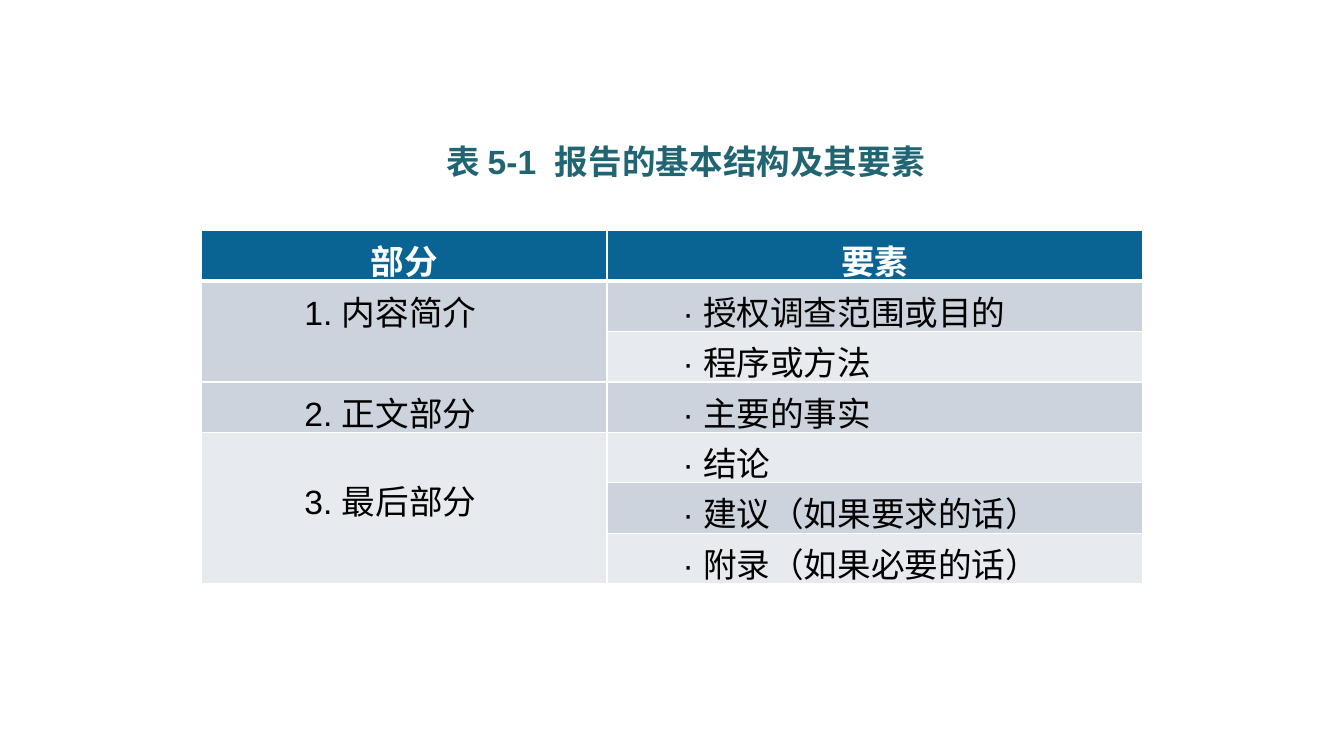
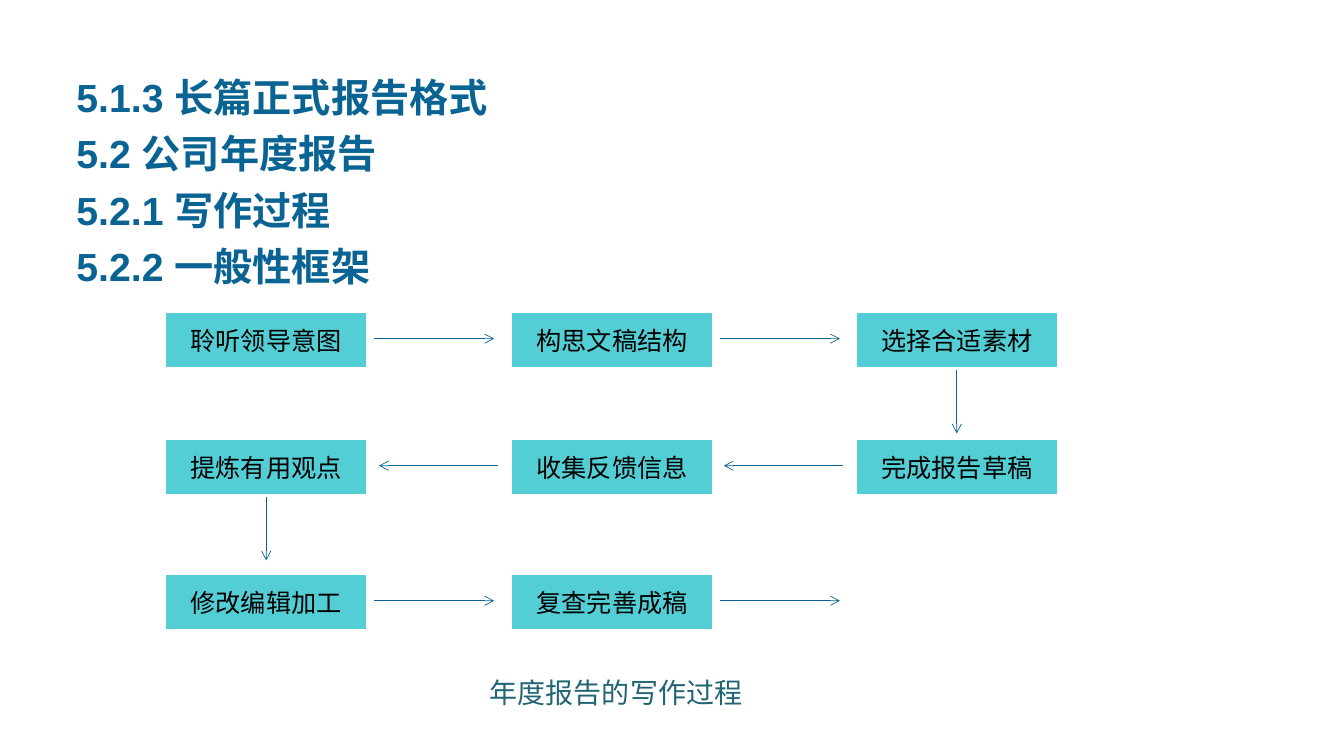
from dataclasses import dataclass
from typing import Optional

from lxml.etree import SubElement
from pptx import Presentation
from pptx.dml.color import RGBColor
from pptx.enum.shapes import MSO_CONNECTOR
from pptx.enum.text import MSO_ANCHOR, MSO_AUTO_SIZE, PP_ALIGN
from pptx.oxml import parse_xml
from pptx.oxml.ns import nsdecls, qn
from pptx.util import Emu, Pt

PIXEL = 9144
BLUE = "096493"
TEAL = "216573"
AQUA = "53CED5"
WHITE = "FFFFFF"
BLACK = "000000"
DARK_BAND = "CCD3DC"
LIGHT_BAND = "E7EAEE"

TABLE_TITLE = {"size": Pt(24), "bold": True}
HEADING = {"size": Pt(28), "bold": True}
CAPTION = {"size": Pt(20), "bold": False}
HEADER_TEXT = {"size": Pt(24), "bold": True}
BODY_TEXT = {"size": Pt(24), "bold": False}
STEP_TEXT = {"size": Pt(18), "bold": False}

TABLE_MARGINS = {"margin_top": 5, "margin_bottom": 0}
SECTION_INDENT = 102
ELEMENT_INDENT = 75

STEP_COLUMNS = (165, 508, 850)
STEP_ROWS = (314, 440, 574)
STEP_WIDTH = 198
STEP_HEIGHT = 46
ARROWS = {
    "right": (206, 22, 325, 22),
    "left": (-14, 22, -132, 22),
    "down": (99, 53, 99, 116),
}


@dataclass
class Section:
    name: str
    elements: tuple[str, ...]
    color: str
    drop: int = 5


@dataclass
class Step:
    text: str
    column: int
    row: int
    arrow: Optional[str] = None


@dataclass
class TextBlock:
    left: int
    top: int
    width: int
    height: int
    lines: tuple[str, ...]
    values: dict
    color: str
    spacing: float = 1.0
    anchor: MSO_ANCHOR = MSO_ANCHOR.TOP
    auto_size: MSO_AUTO_SIZE = MSO_AUTO_SIZE.SHAPE_TO_FIT_TEXT


SECTIONS = (
    Section("1. 内容简介", ("授权调查范围或目的", "程序或方法"), DARK_BAND),
    Section("2. 正文部分", ("主要的事实",), DARK_BAND),
    Section(
        "3. 最后部分",
        ("结论", "建议（如果要求的话）", "附录（如果必要的话）"),
        LIGHT_BAND,
        drop=43,
    ),
)

STEPS = (
    Step("聆听领导意图", 0, 0, "right"),
    Step("构思文稿结构", 1, 0, "right"),
    Step("选择合适素材", 2, 0, "down"),
    Step("完成报告草稿", 2, 1, "left"),
    Step("收集反馈信息", 1, 1, "left"),
    Step("提炼有用观点", 0, 1, "down"),
    Step("修改编辑加工", 0, 2, "right"),
    Step("复查完善成稿", 1, 2, "right"),
)


def px(value: int) -> Emu:
    return Emu(value * PIXEL)


def rgb(value: str) -> RGBColor:
    return RGBColor.from_string(value)


def set_values(target, values: dict) -> None:
    for name, value in values.items():
        setattr(target, name, value)


def write(paragraph, text: str, values: dict, color: str) -> None:
    run = paragraph.add_run()
    run.text = text
    set_values(run.font, {"name": "Arial", **values})
    run.font.color.rgb = rgb(color)


def add_text(slide, block: TextBlock) -> None:
    shape = slide.shapes.add_textbox(
        px(block.left), px(block.top), px(block.width), px(block.height)
    )
    frame = shape.text_frame
    set_values(
        frame,
        {
            "word_wrap": True,
            "auto_size": block.auto_size,
            "vertical_anchor": block.anchor,
        },
    )
    for index, line in enumerate(block.lines):
        paragraph = frame.add_paragraph() if index else frame.paragraphs[0]
        paragraph.line_spacing = block.spacing
        write(paragraph, line, block.values, block.color)


def set_borders(cell, borders: dict[str, tuple[str, float]]) -> None:
    properties = cell._tc.get_or_add_tcPr()
    for index, side in enumerate("LRTB"):
        color, width = borders.get(side, (None, 0))
        paint = (
            f'<a:solidFill><a:srgbClr val="{color}"/></a:solidFill>'
            if color
            else "<a:noFill/>"
        )
        border = parse_xml(
            f'<a:ln{side} {nsdecls("a")} w="{int(Pt(width))}">{paint}</a:ln{side}>'
        )
        properties.insert(index, border)


def fill_cell(cell, color: str, borders: dict) -> None:
    cell.fill.solid()
    cell.fill.fore_color.rgb = rgb(color)
    set_borders(cell, borders)


def write_cell(
    cell, text: str, values: dict, color: str, align: PP_ALIGN, margins: dict
) -> None:
    set_values(cell, {name: px(value) for name, value in margins.items()})
    paragraph = cell.text_frame.paragraphs[0]
    paragraph.alignment = align
    write(paragraph, text, values, color)


def add_plain_table(
    slide, left: int, top: int, widths: tuple[int, ...], row_height: int, rows: int
):
    table = slide.shapes.add_table(
        rows, len(widths), px(left), px(top), px(sum(widths)), px(row_height * rows)
    ).table
    set_values(table, {"first_row": False, "horz_banding": False})
    for column, width in zip(table.columns, widths):
        column.width = px(width)
    return table


def add_structure_table(slide) -> None:
    row_count = 1 + sum(len(section.elements) for section in SECTIONS)
    table = add_plain_table(slide, 200, 229, (402, 531), 50, row_count)
    borders = {side: (WHITE, 1) for side in "LRTB"}
    for column, text in enumerate(("部分", "要素")):
        cell = table.cell(0, column)
        fill_cell(cell, BLUE, {**borders, "B": (WHITE, 3)})
        write_cell(cell, text, HEADER_TEXT, WHITE, PP_ALIGN.CENTER, TABLE_MARGINS)
    row = 1
    for section in SECTIONS:
        first = table.cell(row, 0)
        margins = {
            **TABLE_MARGINS,
            "margin_left": SECTION_INDENT,
            "margin_top": section.drop,
        }
        write_cell(first, section.name, BODY_TEXT, BLACK, PP_ALIGN.LEFT, margins)
        if len(section.elements) > 1:
            first.merge(table.cell(row + len(section.elements) - 1, 0))
        for element in section.elements:
            fill_cell(table.cell(row, 0), section.color, borders)
            cell = table.cell(row, 1)
            fill_cell(cell, DARK_BAND if row % 2 else LIGHT_BAND, borders)
            margins = {**TABLE_MARGINS, "margin_left": ELEMENT_INDENT}
            write_cell(
                cell, f"· {element}", BODY_TEXT, BLACK, PP_ALIGN.LEFT, margins
            )
            row += 1


def add_arrow(slide, left: int, top: int, direction: str) -> None:
    start_x, start_y, end_x, end_y = ARROWS[direction]
    connector = slide.shapes.add_connector(
        MSO_CONNECTOR.STRAIGHT,
        px(left + start_x),
        px(top + start_y),
        px(left + end_x),
        px(top + end_y),
    )
    connector.line.color.rgb = rgb(BLUE)
    connector.line.width = Pt(0.5)
    SubElement(connector.line._get_or_add_ln(), qn("a:tailEnd"), type="arrow")
    SubElement(connector._element.spPr, qn("a:effectLst"))


def add_step(slide, step: Step) -> None:
    left, top = STEP_COLUMNS[step.column], STEP_ROWS[step.row]
    table = add_plain_table(slide, left, top, (STEP_WIDTH,), STEP_HEIGHT, 1)
    cell = table.cell(0, 0)
    fill_cell(cell, AQUA, {"T": (AQUA, 6), "B": (AQUA, 6)})
    write_cell(cell, step.text, STEP_TEXT, BLACK, PP_ALIGN.CENTER, {})
    if step.arrow:
        add_arrow(slide, left, top, step.arrow)


def build_structure_slide(slide) -> None:
    title = ("表 5-1  报告的基本结构及其要素",)
    add_text(slide, TextBlock(433, 135, 681, 50, title, TABLE_TITLE, TEAL))
    add_structure_table(slide)


def build_process_slide(slide) -> None:
    headings = (
        "5.1.3 长篇正式报告格式",
        "5.2 公司年度报告",
        "5.2.1 写作过程",
        "5.2.2 一般性框架",
    )
    add_text(
        slide,
        TextBlock(
            66, 29, 871, 263, headings, HEADING, BLUE,
            spacing=1.2, anchor=MSO_ANCHOR.BOTTOM, auto_size=MSO_AUTO_SIZE.NONE,
        ),
    )
    for step in STEPS:
        add_step(slide, step)
    caption = ("年度报告的写作过程",)
    add_text(
        slide, TextBlock(476, 649, 543, 60, caption, CAPTION, TEAL, spacing=1.5)
    )


def main() -> None:
    presentation = Presentation()
    presentation.slide_width = px(1333)
    presentation.slide_height = px(750)
    for build in (build_structure_slide, build_process_slide):
        build(presentation.slides.add_slide(presentation.slide_layouts[6]))
    presentation.save("out.pptx")


if __name__ == "__main__":
    main()
